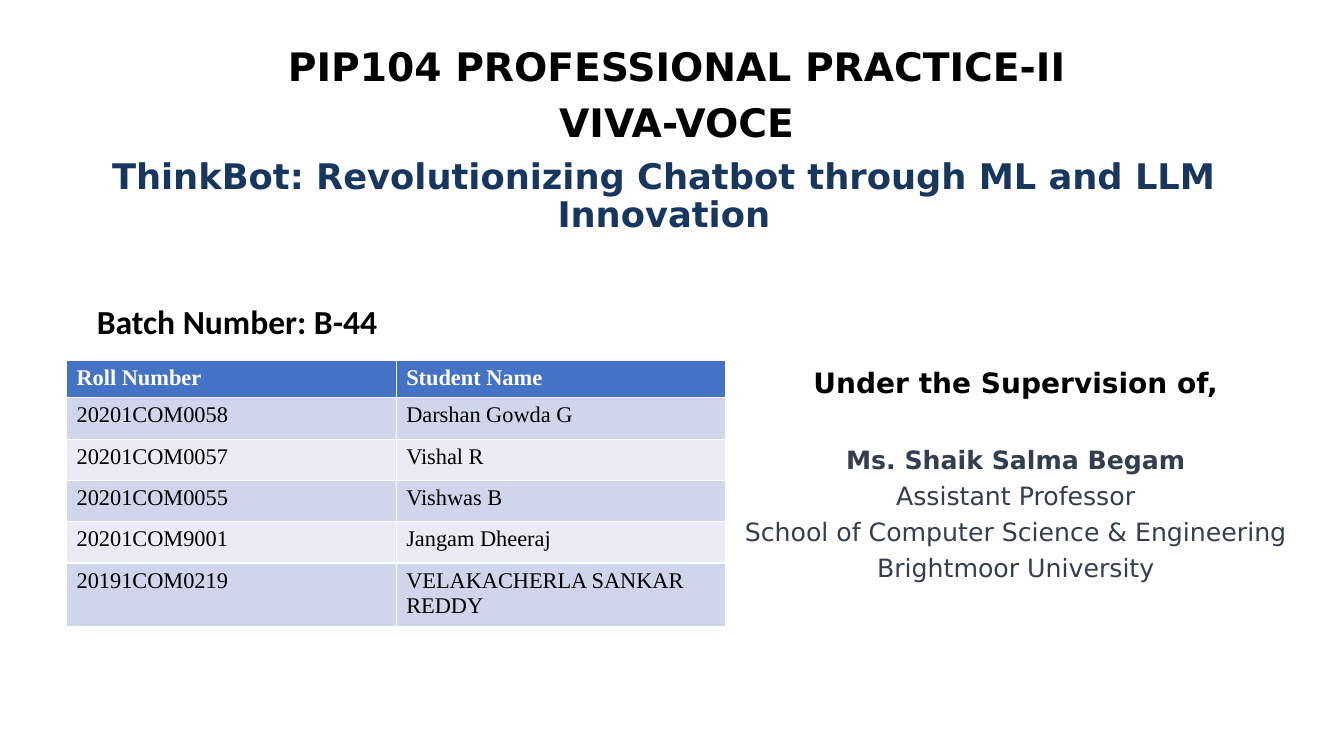
from pptx import Presentation
from pptx.dml.color import RGBColor
from pptx.enum import text
from pptx.util import Inches, Pt

BLACK = RGBColor(0x00, 0x00, 0x00)
WHITE = RGBColor(0xFF, 0xFF, 0xFF)
NAVY = RGBColor(0x17, 0x37, 0x5E)
SLATE = RGBColor(0x33, 0x3F, 0x50)
BLUE = RGBColor(0x44, 0x72, 0xC4)
BAND_DARK = RGBColor(0xCF, 0xD5, 0xEA)
BAND_LIGHT = RGBColor(0xE9, 0xEB, 0xF5)

SANS, BODY, SERIF = "DejaVu Sans", "Calibri", "Times New Roman"
CENTER, LEFT = text.PP_ALIGN.CENTER, text.PP_ALIGN.LEFT

STUDENTS = [
    ("Roll Number", "Student Name"),
    ("20201COM0058", "Darshan Gowda G"),
    ("20201COM0057", "Vishal R"),
    ("20201COM0055", "Vishwas B"),
    ("20201COM9001", "Jangam Dheeraj"),
    ("20191COM0219", "VELAKACHERLA SANKAR REDDY"),
]


def style(p, words, size, font, color, bold=True, align=CENTER, before=0):
    p.text = words
    p.alignment = align
    p.space_before = Pt(before)
    p.font.size = Pt(size)
    p.font.name = font
    p.font.color.rgb = color
    p.font.bold = bold


def fill_placeholder(sp, box, anchor, words, size, font, color, align):
    sp.left, sp.top, sp.width, sp.height = map(Inches, box)
    tf = sp.text_frame
    tf.auto_size = text.MSO_AUTO_SIZE.NONE
    tf.vertical_anchor = anchor
    style(tf.paragraphs[0], words, size, font, color, align=align)
    tf.paragraphs[0].line_spacing = 0.9


def add_lines(s, box, lines):
    tf = s.shapes.add_textbox(*map(Inches, box)).text_frame
    tf.word_wrap = True
    for i, (words, size, color, bold, before) in enumerate(lines):
        p = tf.add_paragraph() if i else tf.paragraphs[0]
        style(p, words, size, SANS, color, bold, before=before)


def add_students(s, box):
    table = s.shapes.add_table(len(STUDENTS), 2, *map(Inches, box)).table
    for i, student in enumerate(STUDENTS):
        table.rows[i].height = Inches(0.41 if i else 0.34)
        band = BAND_DARK if i % 2 else BAND_LIGHT
        for cell, words in zip(table.rows[i].cells, student):
            cell.fill.solid()
            cell.fill.fore_color.rgb = band if i else BLUE
            style(cell.text_frame.paragraphs[0], words, 16, SERIF,
                  BLACK if i else WHITE, bold=i == 0, align=LEFT)


def main():
    prs = Presentation()
    prs.slide_width, prs.slide_height = Inches(13.33), Inches(7.5)
    s = prs.slides.add_slide(prs.slide_layouts[0])
    fill_placeholder(s.shapes.title, (0.92, 1.75, 11.33, 0.63), text.MSO_ANCHOR.BOTTOM,
                     "ThinkBot: Revolutionizing Chatbot through ML and LLM Innovation",
                     25.2, SANS, NAVY, CENTER)
    fill_placeholder(s.placeholders[1], (0.86, 2.98, 4.34, 0.6), text.MSO_ANCHOR.TOP,
                     "Batch Number: B-44", 24, BODY, BLACK, LEFT)
    add_lines(s, (7.06, 3.58, 6.03, 2.66), [
        ("Under the Supervision of,", 20, BLACK, True, 0),
        ("Ms. Shaik Salma Begam", 18, SLATE, True, 32),
        ("Assistant Professor", 18, SLATE, False, 4.2),
        ("School of Computer Science & Engineering", 18, SLATE, False, 4.2),
        ("Brightmoor University", 18, SLATE, False, 4.2),
    ])
    add_lines(s, (0.86, 0.37, 11.7, 1.13), [
        ("PIP104 PROFESSIONAL PRACTICE-II", 28, BLACK, True, 0),
        ("VIVA-VOCE", 28, BLACK, True, 6.5),
    ])
    add_students(s, (0.66, 3.58, 6.54, 2.39))
    prs.save("out.pptx")


if __name__ == "__main__":
    main()
